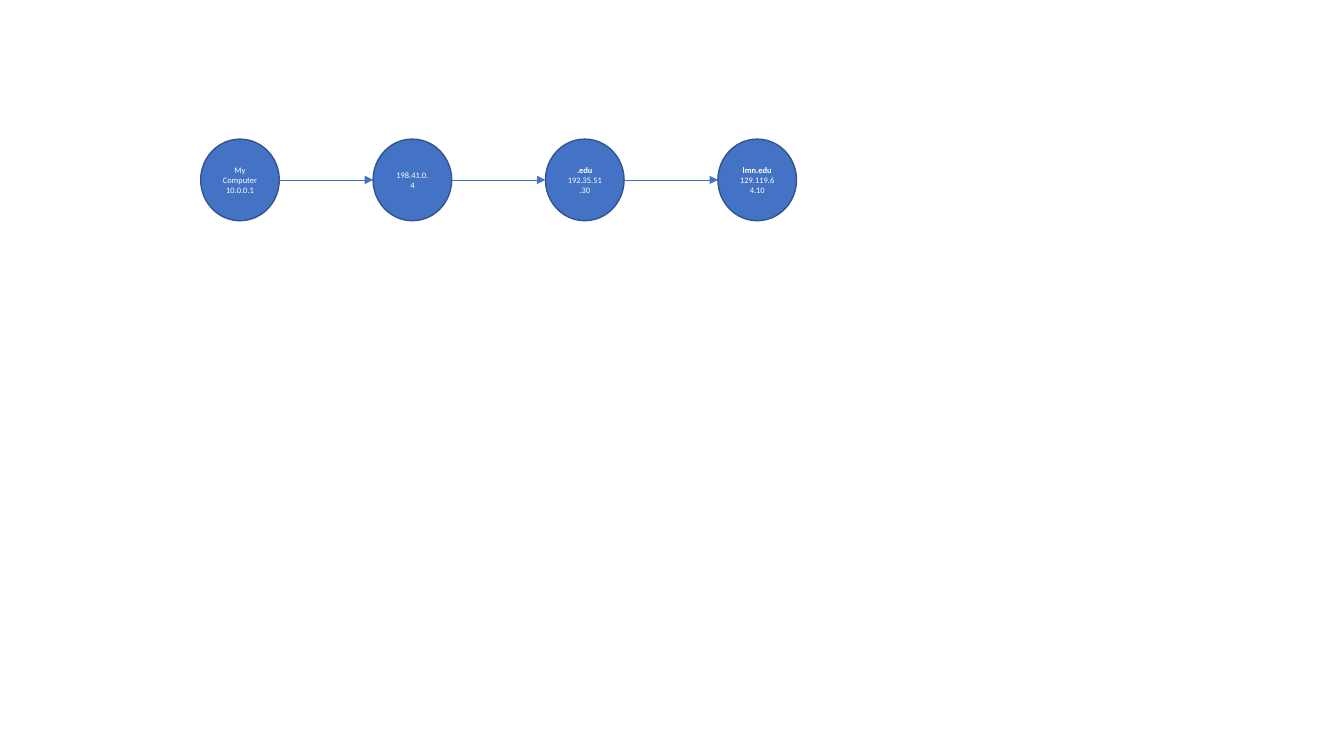
from lxml.etree import SubElement
from pptx import Presentation
from pptx.dml.color import RGBColor
from pptx.enum.shapes import MSO_CONNECTOR, MSO_SHAPE
from pptx.enum.text import MSO_ANCHOR, PP_ALIGN
from pptx.oxml.ns import qn
from pptx.util import Inches, Pt

BLUE = RGBColor(0x44, 0x72, 0xC4)
DARK_BLUE = RGBColor(0x32, 0x54, 0x91)
WHITE = RGBColor(0xFF, 0xFF, 0xFF)

# One row of equally spaced hosts, in lookup order: (line, bold) pairs
HOSTS = [
    [("My Computer", False), ("10.0.0.1", False)],
    [("198.41.0.4", False)],
    [(".edu", True), ("192.35.51.30", False)],
    [("lmn.edu", True), ("129.119.64.10", False)],
]
LEFT, TOP = Inches(1.99), Inches(1.38)
NODE_WIDTH, NODE_HEIGHT = Inches(0.78), Inches(0.81)
COLUMN = Inches(1.71)
MIDDLE = TOP + NODE_HEIGHT // 2

presentation = Presentation()
presentation.slide_width = Inches(13.33)
presentation.slide_height = Inches(7.5)
slide = presentation.slides.add_slide(presentation.slide_layouts[6])

for index, host_lines in enumerate(HOSTS):
    node_left = LEFT + index * COLUMN
    node = slide.shapes.add_shape(
        MSO_SHAPE.OVAL, node_left, TOP, NODE_WIDTH, NODE_HEIGHT)
    node.shadow.inherit = False
    node.fill.solid()
    node.fill.fore_color.rgb = BLUE
    node.line.color.rgb = DARK_BLUE
    node.line.width = Pt(1)

    text_frame = node.text_frame
    text_frame.word_wrap = True
    text_frame.vertical_anchor = MSO_ANCHOR.MIDDLE
    text_frame.text = "\n".join(text for text, bold in host_lines)
    for paragraph, (text, bold) in zip(text_frame.paragraphs, host_lines):
        paragraph.alignment = PP_ALIGN.CENTER
        paragraph.font.name = "Calibri"
        paragraph.font.size = Pt(6)
        paragraph.font.bold = bold
        paragraph.font.color.rgb = WHITE

# Arrows from each host to the next
for index in range(len(HOSTS) - 1):
    node_left = LEFT + index * COLUMN
    arrow = slide.shapes.add_connector(
        MSO_CONNECTOR.STRAIGHT,
        node_left + NODE_WIDTH, MIDDLE, node_left + COLUMN, MIDDLE)
    arrow.line.color.rgb = BLUE
    arrow.line.width = Pt(0.5)
    properties = arrow.element.spPr
    SubElement(properties.find(qn("a:ln")), qn("a:tailEnd"), type="triangle")
    SubElement(properties, qn("a:effectLst"))

presentation.save("out.pptx")
